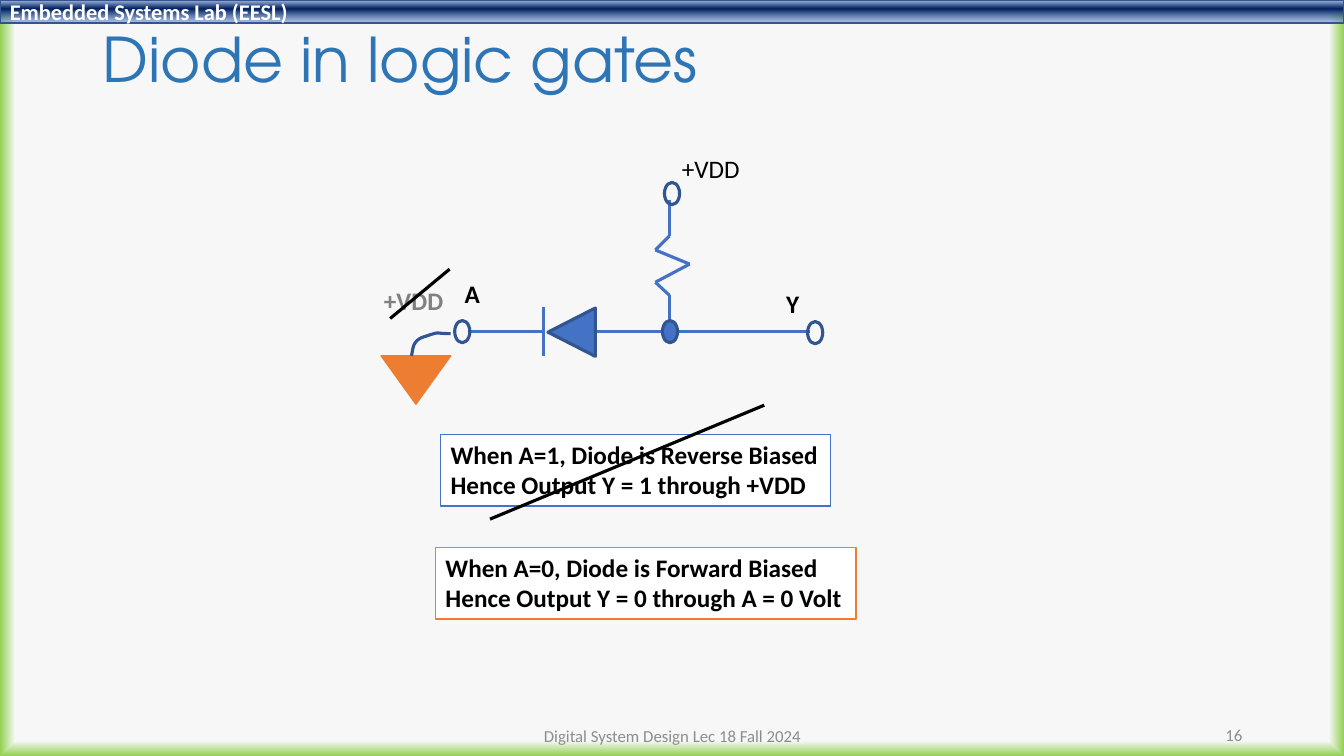
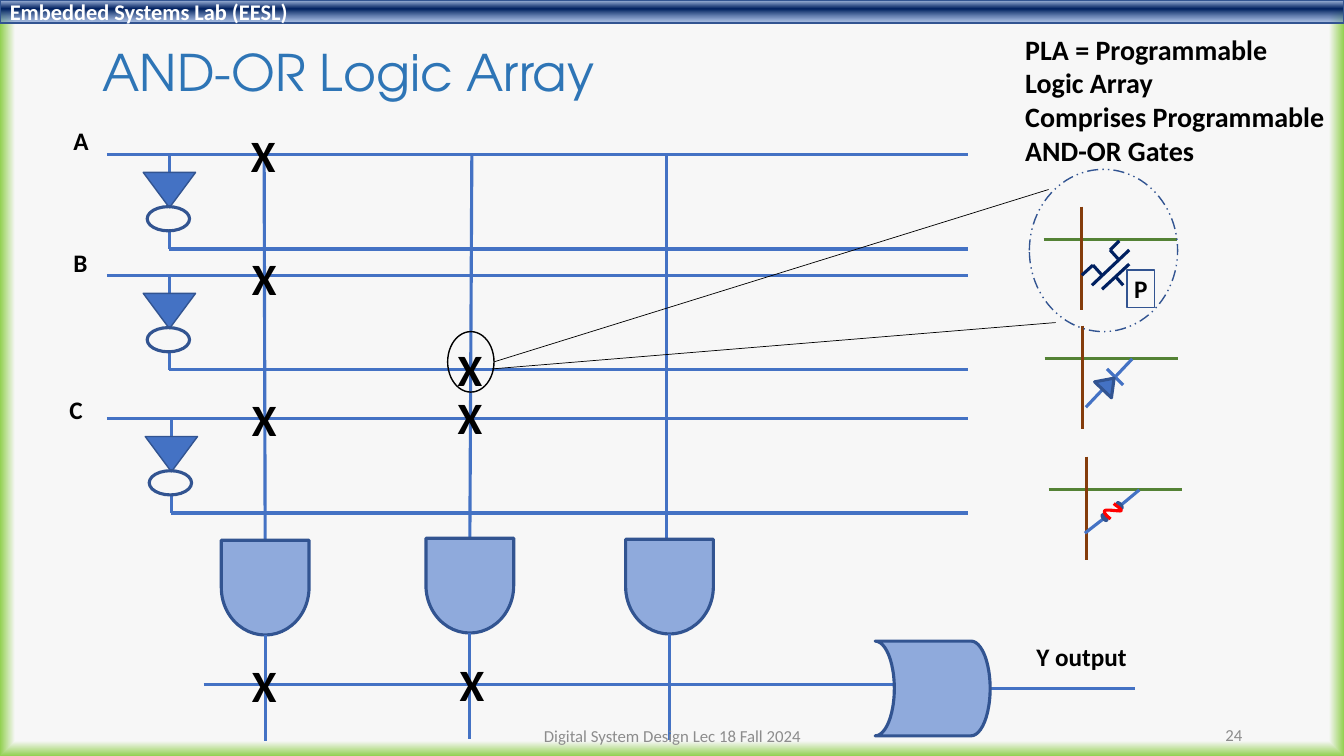
import itertools
import pptx
import pptx.dml.color
import pptx.enum.dml
import pptx.enum.shapes
import pptx.enum.text
import pptx.oxml
import pptx.util

PX = 9144
BLUE, NAVY, PALE, INK = "4472C4", "325491", "8FAADC", "000000"
ORANGE, GREEN, BROWN, DEEP, RED = "ED7D31", "548235", "843C0B", "002060", "FF0000"
GREY, WHITE, TITLE, MUTED = "8C8C8C", "FFFFFF", "2E75B6", "808080"
BODY_FONT, TITLE_FONT = "Calibri", "TeX Gyre Adventor"
KIND = pptx.enum.shapes.MSO_SHAPE
ALIGN = pptx.enum.text.PP_ALIGN
ANCHOR = pptx.enum.text.MSO_ANCHOR
AUTO = pptx.enum.text.MSO_AUTO_SIZE

BAND_TEXT = "Embedded Systems Lab (EESL)"
FOOTER_TEXT = "Digital System Design Lec 18 Fall 2024"
BAND_STOPS = [(2, "ABC0E4", 100), (38, "002060", 100), (93, "7E9ED6", 64)]
PAGE_STOPS = [(96, "F7F7F7", 100), (100, "92D050", 100)]
LINEAR = '<a:lin ang="5400000" scaled="0"/>'
SHAPED = '<a:path path="shape"><a:fillToRect l="50000" t="50000" r="50000" b="50000"/></a:path>'

TERMINAL = (15, 22)
DIODE_WIRES = [
    (BLUE, [(664, 198), (664, 234), (650, 248), (684, 262), (650, 280), (664, 293), (664, 329)]),
    (BLUE, [(664, 329), (591, 329)]),
    (BLUE, [(539, 353), (539, 305)]),
    (BLUE, [(539, 329), (465, 329)]),
    (BLUE, [(662, 329), (803, 329)]),
]
DIODE_SHAPES = [
    (KIND.ISOSCELES_TRIANGLE, (543, 306, 48, 47), 270, BLUE, NAVY, 2.25),
    *[(KIND.OVAL, (*corner, *TERMINAL), 0, fill, NAVY, 2.25) for corner, fill in
      [((801, 319), None), ((451, 318), None), ((659, 181), None), ((657, 318), BLUE)]],
]
DIODE_LABELS = [
    ("A", (451, 271, 35, 40), {}, {}),
    ("Y", (770, 281, 33, 40), {}, {}),
    ("+VDD", (371, 278, 80, 40), {}, {"color": MUTED}),
    ("+VDD", (666, 140, 78, 55),
     {"vertical_anchor": ANCHOR.MIDDLE, "auto_size": AUTO.NONE},
     {"bold": False, "align": ALIGN.CENTER}),
]
DIODE_NOTES = [
    ("When A=1, Diode is Reverse Biased\nHence Output Y = 1 through +VDD", (437, 431, 387, 71), BLUE),
    ("When A=0, Diode is Forward Biased\nHence Output Y = 0 through A = 0 Volt", (432, 543, 417, 71), ORANGE),
]
GROUND_BOX = (378, 353, 69, 48)
GROUND_LEAD = [(408, 353), (409, 350), (409, 347), (410, 344), (411, 340), (414, 337), (418, 335),
               (421, 334), (424, 333), (427, 332), (437, 329), (431, 331), (447, 331)]
STRIKES = [[(387, 316), (446, 267)], [(486, 515), (758, 402)]]

INPUTS = [("A", (63, 119), 168, 153), ("B", (63, 240), 168, 273), ("C", (59, 386), 170, 415)]
INPUT_LEFT, INPUT_RIGHT, INVERTER_DROP = 106, 960, 94
GATES = [(263, 583, 262), (466, 581, 468), (664, 582, 661)]
GATE_SIZE = (94, 87)
MARKS = [(239, 122), (240, 244), (240, 384), (444, 334), (444, 382), (240, 648), (446, 647)]
OUTPUT_WIRES = [(BLUE, [(202, 679), (887, 679)]), (BLUE, [(982, 683), (1126, 683)])]
ARRAY_NOTES = [
    ("Y output", (1018, 631, 111, 40), {}, {}),
    ("PLA = Programmable\nLogic Array\nComprises Programmable\nAND-OR Gates",
     (1007, 27, 320, 145), {}, {"size": 20}),
    ("P", (1118, 268, 27, 37),
     {"vertical_anchor": ANCHOR.MIDDLE, "auto_size": AUTO.NONE}, {"align": ALIGN.CENTER}),
]
CROSSPOINTS = [(1035, 238), (1036, 356), (1040, 486)]
LINK_WIRES = [
    (DEEP, [(1083, 283), (1120, 248)]),
    (DEEP, [(1093, 287), (1120, 262)]),
    (DEEP, [(1093, 273), (1084, 263), (1073, 273)]),
    (DEEP, [(1110, 258), (1101, 248), (1110, 239)]),
    (DEEP, [(1107, 275), (1114, 283)]),
    (BLUE, [(1077, 404), (1094, 386)]),
    (BLUE, [(1098, 366), (1114, 382)]),
    (BLUE, [(1106, 374), (1123, 356)]),
    (BLUE, [(1076, 529), (1094, 515)]),
    (BLUE, [(1112, 501), (1130, 486)]),
]
LINK_SHAPES = [
    (KIND.ISOSCELES_TRIANGLE, (1088, 373, 23, 16), 43.5, BLUE, NAVY, 2.25),
    (KIND.OVAL, (1094, 510, 3, 7), 321.6, None, NAVY, 2.25),
    (KIND.OVAL, (1109, 498, 3, 7), 321.6, None, NAVY, 2.25),
    (KIND.RECTANGLE, (1118, 268, 27, 37), 0, None, NAVY, 1),
    (KIND.OVAL, (444, 329, 46, 60), 0, None, INK, 1),
    (KIND.FLOWCHART_STORED_DATA, (868, 636, 114, 94), 180, PALE, NAVY, 2.25),
]
ZOOM_BOX = (1021, 168, 147, 161)
ZOOM_LINES = [[(490, 359), (1040, 188)], [(488, 366), (1047, 320)]]
FUSE = [(1097, 512), (1096, 507), (1095, 502), (1098, 502), (1100, 502), (1109, 512), (1110, 512),
        (1112, 512), (1110, 507), (1109, 502)]


def rgb(colour):
    return pptx.dml.color.RGBColor.from_string(colour)


def emu(values):
    return [round(value * PX) for value in values]


def apply(target, values):
    for name, value in values.items():
        setattr(target, name, value)


def gradient(stops, direction):
    marks = "".join(
        f'<a:gs pos="{place * 1000}"><a:srgbClr val="{colour}">'
        f'<a:alpha val="{alpha * 1000}"/></a:srgbClr></a:gs>'
        for place, colour, alpha in stops)
    return pptx.oxml.parse_xml(
        '<a:gradFill xmlns:a="http://schemas.openxmlformats.org/drawingml/2006/main" '
        f'rotWithShape="1"><a:gsLst>{marks}</a:gsLst>{direction}</a:gradFill>')


def swap_fill(element, stops, direction):
    solid = element.xpath(".//p:bgPr/a:solidFill | ./p:spPr/a:solidFill")[0]
    solid.getparent().replace(solid, gradient(stops, direction))


def write(shape, text, frame_format=None, text_format=None):
    frame = shape.text_frame
    apply(frame, {"word_wrap": False, "vertical_anchor": ANCHOR.TOP,
                  "auto_size": AUTO.SHAPE_TO_FIT_TEXT, **(frame_format or {})})
    style = {"size": 18, "color": INK, "bold": True, "font": BODY_FONT,
             "align": ALIGN.LEFT, "spacing": 1.0, **(text_format or {})}
    for index, line in enumerate(text.split("\n")):
        paragraph = frame.add_paragraph() if index else frame.paragraphs[0]
        apply(paragraph, {"alignment": style["align"], "line_spacing": style["spacing"]})
        run = paragraph.add_run()
        run.text = line
        apply(run.font, {"name": style["font"], "bold": style["bold"],
                         "size": pptx.util.Pt(style["size"])})
        run.font.color.rgb = rgb(style["color"])


def label(slide, text, box, frame_format=None, text_format=None):
    write(slide.shapes.add_textbox(*emu(box)), text, frame_format, text_format)


def paint(shape, rotation, fill, line, width):
    shape.shadow.inherit = False
    shape.rotation = rotation
    if fill:
        shape.fill.solid()
        shape.fill.fore_color.rgb = rgb(fill)
    else:
        shape.fill.background()
    shape.line.color.rgb = rgb(line)
    shape.line.width = pptx.util.Pt(width)
    return shape


def draw(slide, kind, box, *look):
    return paint(slide.shapes.add_shape(kind, *emu(box)), *look)


def wire(slide, colour, points, width=2.25):
    for start, end in itertools.pairwise(points):
        connector = slide.shapes.add_connector(
            pptx.enum.shapes.MSO_CONNECTOR.STRAIGHT, *emu(start), *emu(end))
        connector.line.color.rgb = rgb(colour)
        connector.line.width = pptx.util.Pt(width)
        properties = connector.element.spPr
        properties.append(properties.makeelement(
            "{http://schemas.openxmlformats.org/drawingml/2006/main}effectLst"))


def curve(slide, points, colour, rotation=0, steps=8):
    trace = []
    for first in range(0, len(points) - 1, 3):
        for step in range(1, steps + 1):
            t = step / steps
            weights = ((1 - t) ** 3, 3 * t * (1 - t) ** 2, 3 * t * t * (1 - t), t ** 3)
            trace.append(emu(
                sum(weight * point[axis] for weight, point in zip(weights, points[first:first + 4]))
                for axis in (0, 1)))
    builder = slide.shapes.build_freeform(*emu(points[0]))
    builder.add_line_segments(trace, close=False)
    paint(builder.convert_to_shape(), rotation, None, colour, 2.25)


def draw_diode(slide):
    for colour, points in DIODE_WIRES:
        wire(slide, colour, points)
    for item in DIODE_SHAPES:
        draw(slide, *item)
    for item in DIODE_LABELS:
        label(slide, *item)
    for text, box, border in DIODE_NOTES:
        write(draw(slide, KIND.RECTANGLE, box, 0, WHITE, border, 1), text)
    ground = draw(slide, KIND.ISOSCELES_TRIANGLE, GROUND_BOX, 180, ORANGE, ORANGE, 1)
    ground.fill.patterned()
    ground.fill.pattern = pptx.enum.dml.MSO_PATTERN.DARK_HORIZONTAL
    ground.fill.fore_color.rgb = rgb(ORANGE)
    ground.fill.back_color.rgb = rgb(WHITE)
    curve(slide, GROUND_LEAD, NAVY)
    for points in STRIKES:
        wire(slide, INK, points)


def draw_input(slide, name, corner, x, y):
    low = y + INVERTER_DROP
    wire(slide, BLUE, [(INPUT_LEFT, y), (INPUT_RIGHT, y)])
    wire(slide, BLUE, [(x, y), (x, y + 18)])
    wire(slide, BLUE, [(x, low - 18), (x, low), (INPUT_RIGHT, low)])
    draw(slide, KIND.ISOSCELES_TRIANGLE, (x - 26, y + 18, 52, 35), 180, BLUE, NAVY, 1)
    draw(slide, KIND.OVAL, (x - 22, y + 52, 42, 24), 180, None, NAVY, 2.25)
    label(slide, name, (*corner, 35, 40))


def draw_array(slide):
    for item in INPUTS:
        draw_input(slide, *item)
    length, breadth = GATE_SIZE
    for x, y, top_x in GATES:
        bottom = y + length // 2
        wire(slide, BLUE, [(top_x, 152), (x if x < 600 else top_x, 537)])
        draw(slide, KIND.FLOWCHART_DELAY, (x - length / 2, y - breadth / 2, *GATE_SIZE),
             90, PALE, NAVY, 2.25)
        wire(slide, BLUE, [(x, bottom), (x, bottom + 105)])
    for x, y in CROSSPOINTS:
        wire(slide, GREEN, [(x, y), (x + 132, y)])
        wire(slide, BROWN, [(x + 38, y - 33), (x + 38, y + 70)])
    for colour, points in OUTPUT_WIRES + LINK_WIRES:
        wire(slide, colour, points)
    for item in LINK_SHAPES:
        draw(slide, *item)
    curve(slide, FUSE, RED, 321.6)
    for corner in MARKS:
        label(slide, "X", (*corner, 45, 64), None, {"size": 32})
    for item in ARRAY_NOTES:
        label(slide, *item)
    for points in ZOOM_LINES:
        wire(slide, INK, points, 0.5)
    zoom = draw(slide, KIND.OVAL, ZOOM_BOX, 0, None, NAVY, 1)
    zoom.line.dash_style = pptx.enum.dml.MSO_LINE.DASH_DOT_DOT


SLIDES = [
    ("Diode in logic gates", (92, 15, 1150, 95), 44, "16", draw_diode),
    ("AND-OR Logic Array", (92, 40, 1150, 70), 36, "24", draw_array),
]


def build_slide(presentation, title, title_box, title_size, number, draw_content):
    slide = presentation.slides.add_slide(presentation.slide_layouts[6])
    slide.background.fill.solid()
    swap_fill(slide.element, PAGE_STOPS, SHAPED)
    middle = {"vertical_anchor": ANCHOR.MIDDLE, "word_wrap": True, "auto_size": AUTO.NONE}
    band = draw(slide, KIND.RECTANGLE, (0, 0, 1333, 23), 0, DEEP, NAVY, 1)
    swap_fill(band.element, BAND_STOPS, LINEAR)
    write(band, BAND_TEXT, middle, {"size": 16, "color": WHITE})
    label(slide, title, title_box, middle,
          {"size": title_size, "color": TITLE, "bold": False, "font": TITLE_FONT, "spacing": 0.9})
    draw_content(slide)
    small = {"size": 12, "color": GREY, "bold": False}
    label(slide, FOOTER_TEXT, (442, 710, 450, 40), middle, {**small, "align": ALIGN.CENTER})
    label(slide, number, (942, 709, 300, 40), middle, {**small, "align": ALIGN.RIGHT})


def main():
    presentation = pptx.Presentation()
    apply(presentation, {"slide_width": 1333 * PX, "slide_height": 750 * PX})
    for item in SLIDES:
        build_slide(presentation, *item)
    presentation.save("out.pptx")


if __name__ == "__main__":
    main()
